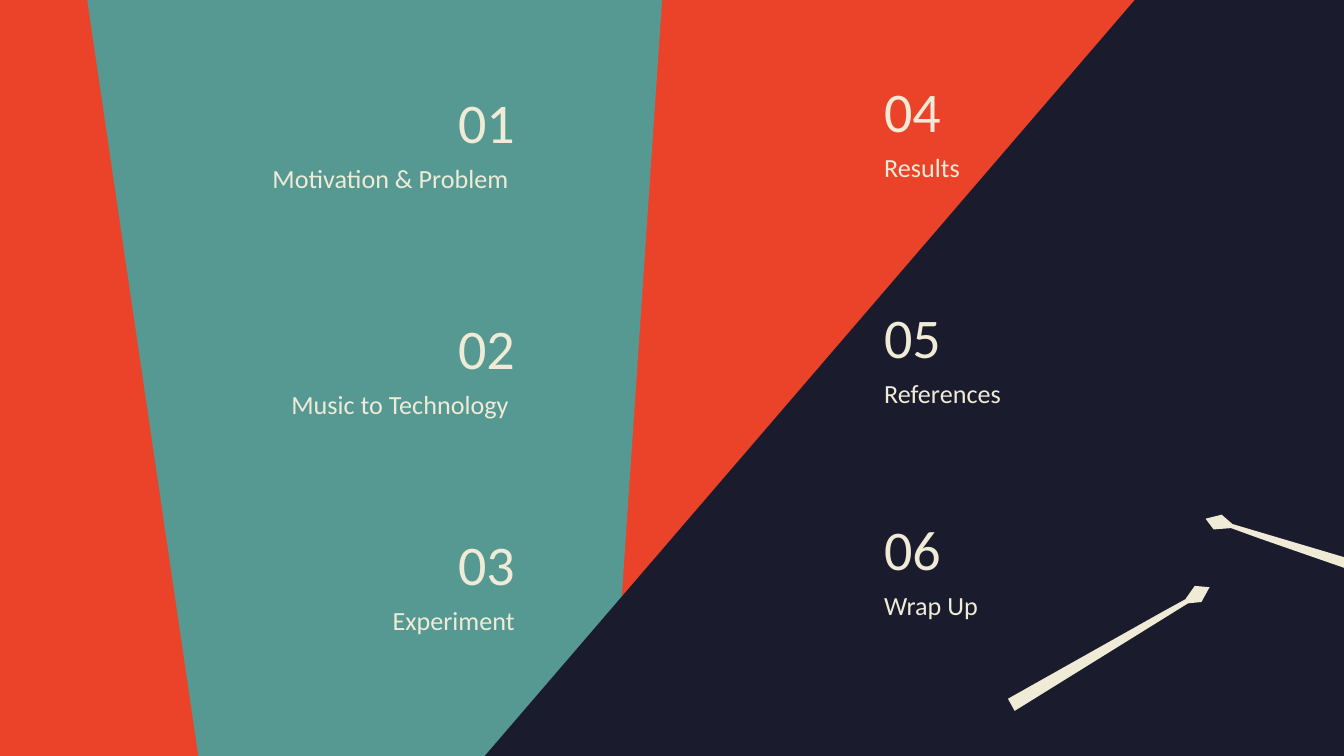
from pptx import Presentation
from pptx.dml.color import RGBColor
from pptx.enum.text import MSO_ANCHOR, MSO_AUTO_SIZE, PP_ALIGN
from pptx.util import Inches, Pt

COLUMNS, ROWS = 100, 56.25
CELL = Inches(10) / COLUMNS
RED, TEAL, NAVY, CREAM = "EB432A", "569992", "1A1B2C", "EFEBD7"

TEAL_PANEL = [(6.3, -1.3), (14.9, 57.2), (45.4, 57.2), (49.4, -2)]
NAVY_PANEL = [(107.9, 56.7), (35.6, 56.8), (85.9, -1.7), (108, -1.5)]
UPPER_DRUMSTICK = [(105.9, 44.3), (106.2, 43.3), (91.7, 39), (90.9, 38.3), (89.7, 38.6),
                   (90.3, 39.4), (91.6, 39.3), (93.8, 40.1)]
LOWER_DRUMSTICK = [(75.5, 52.9), (88.4, 44.9), (89.4, 44.8), (90, 43.7), (88.9, 43.6),
                   (88.2, 44.6), (86.2, 45.7), (75, 52)]

LEFT_TOPICS = [("01", "Motivation & Problem ", 5.5), ("02", "Music to Technology ", 22.3),
               ("03", "Experiment", 38.4)]
RIGHT_TOPICS = [("04", "Results", 4.7), ("05", "References", 21.5), ("06", "Wrap Up", 37.3)]
LEFT_EDGE, RIGHT_EDGE = 64.8, 39.3
NUMBER_SIZE, LABEL_SIZE = (19, 6.3), (24.6, 3.9)
LABEL_DROP = 6


def cells(count):
    return round(count * CELL)


def color(hex_code):
    return RGBColor.from_string(hex_code)


def add_polygon(slide, points, fill):
    corners = [(cells(x), cells(y)) for x, y in points]
    builder = slide.shapes.build_freeform(*corners[0])
    builder.add_line_segments(corners[1:], close=True)
    polygon = builder.convert_to_shape()
    polygon.shadow.inherit = False
    polygon.fill.solid()
    polygon.fill.fore_color.rgb = color(fill)
    polygon.line.fill.background()


def write_text(holder, text, position, extent, points, align, anchor):
    holder.left, holder.top = map(cells, position)
    holder.width, holder.height = map(cells, extent)
    frame = holder.text_frame
    frame.word_wrap = True
    frame.auto_size = MSO_AUTO_SIZE.NONE
    frame.vertical_anchor = anchor
    frame.margin_left = frame.margin_right = Inches(0.1)
    frame.margin_top = frame.margin_bottom = Inches(0.1)
    paragraph = frame.paragraphs[0]
    paragraph.alignment = align
    run = paragraph.add_run()
    run.text = text
    run.font.name = "Calibri"
    run.font.size = Pt(points)
    run.font.color.rgb = color(CREAM)


def add_topic(slide, topic, align, label_holder=None):
    number, label, top = topic

    def left_for(extent):
        return RIGHT_EDGE - extent[0] if align == PP_ALIGN.RIGHT else LEFT_EDGE

    label_holder = label_holder or slide.shapes.add_textbox(0, 0, 0, 0)
    slide.shapes.element.append(label_holder.element)
    write_text(label_holder, label, (left_for(LABEL_SIZE), top + LABEL_DROP), LABEL_SIZE,
               14, align, MSO_ANCHOR.BOTTOM)
    number_holder = slide.shapes.add_textbox(0, 0, 0, 0)
    write_text(number_holder, number, (left_for(NUMBER_SIZE), top), NUMBER_SIZE,
               30, align, MSO_ANCHOR.TOP)


def main():
    deck = Presentation()
    deck.slide_width, deck.slide_height = cells(COLUMNS), cells(ROWS)
    slide = deck.slides.add_slide(deck.slide_layouts[5])
    slide.background.fill.solid()
    slide.background.fill.fore_color.rgb = color(RED)

    add_polygon(slide, TEAL_PANEL, TEAL)
    add_polygon(slide, NAVY_PANEL, NAVY)
    for drumstick in (UPPER_DRUMSTICK, LOWER_DRUMSTICK):
        add_polygon(slide, drumstick, CREAM)

    add_topic(slide, LEFT_TOPICS[0], PP_ALIGN.RIGHT, slide.shapes.title)
    for topic in LEFT_TOPICS[1:]:
        add_topic(slide, topic, PP_ALIGN.RIGHT)
    for topic in RIGHT_TOPICS:
        add_topic(slide, topic, PP_ALIGN.LEFT)

    deck.save("out.pptx")


if __name__ == "__main__":
    main()
